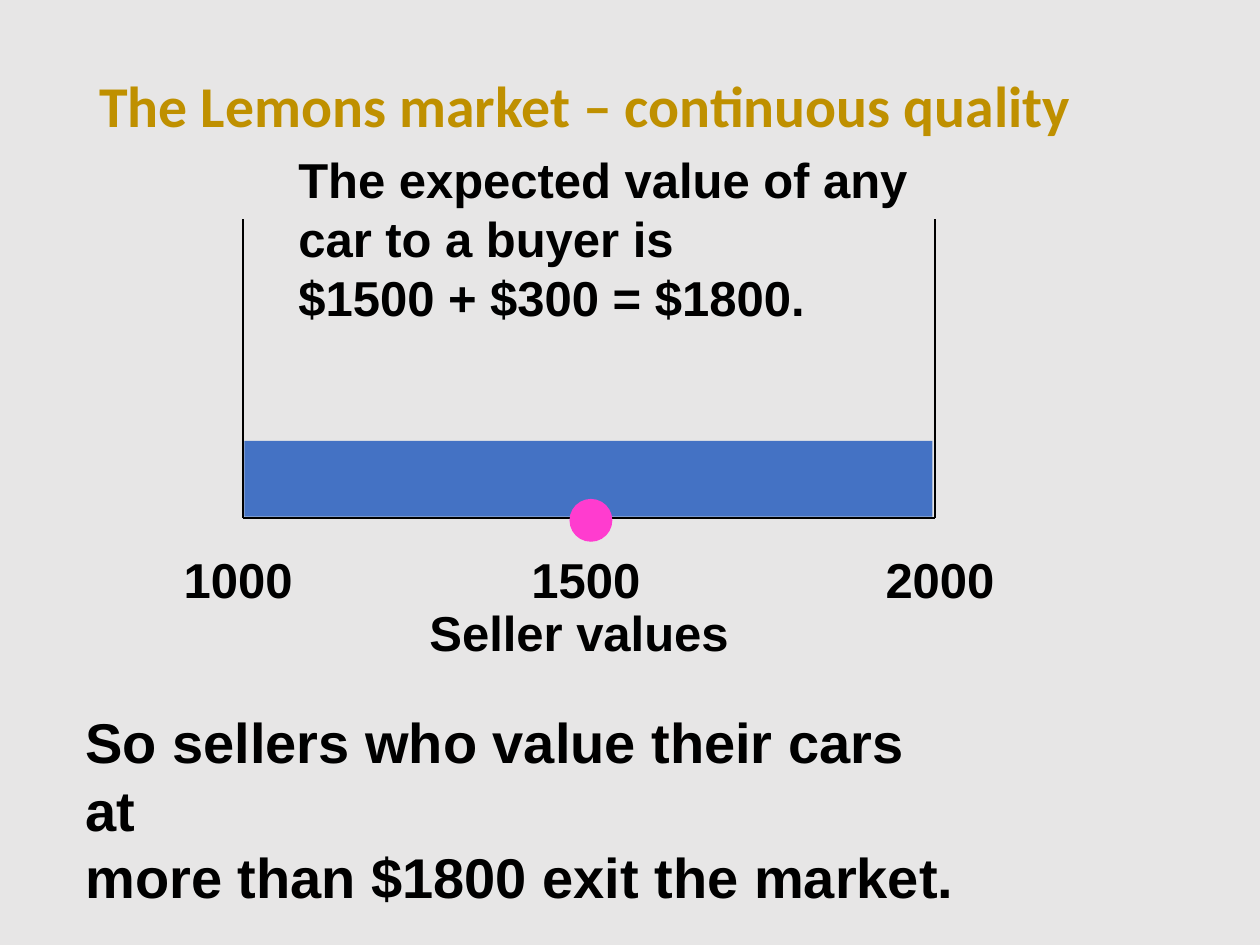
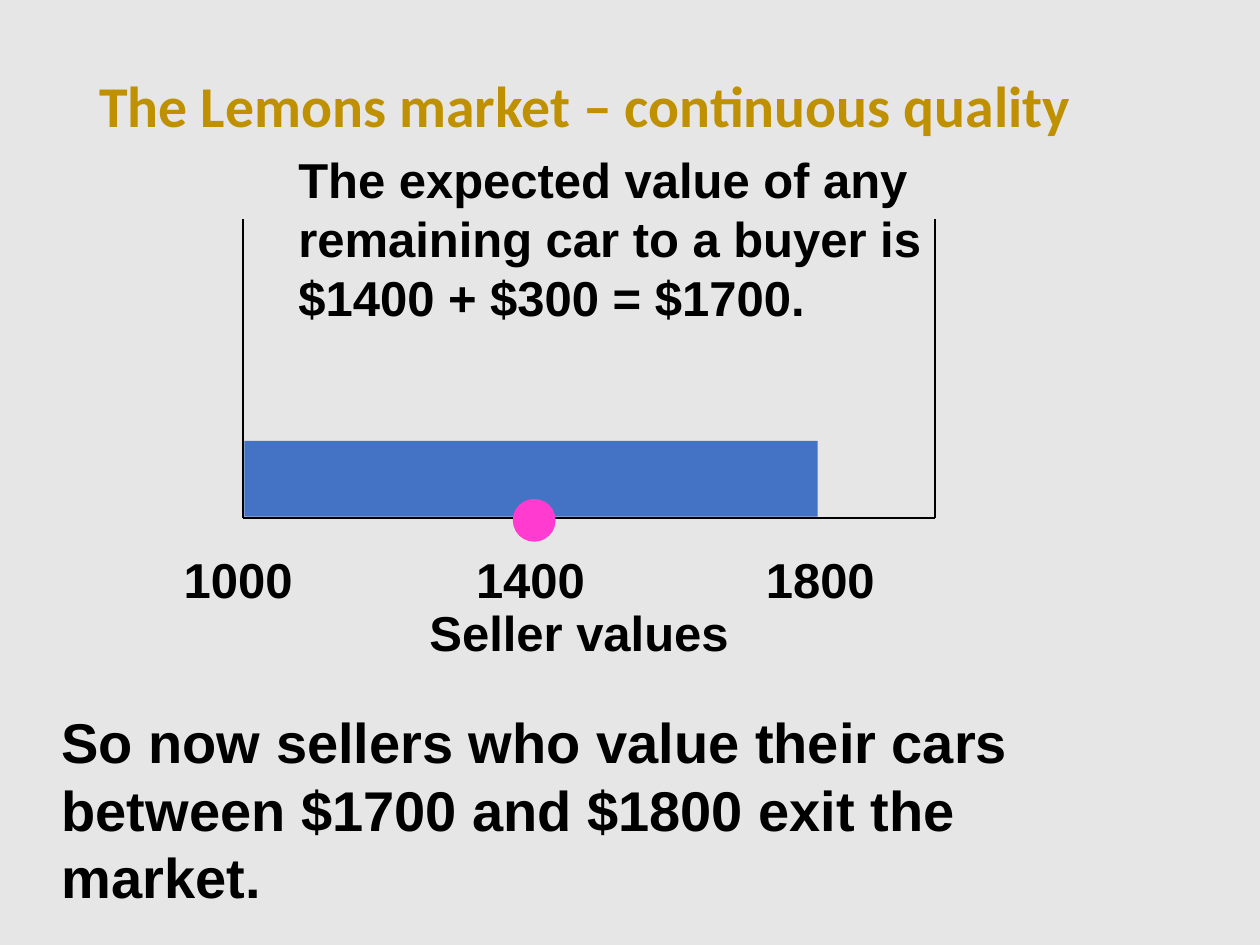
from lxml import etree
from pptx import Presentation
from pptx.dml.color import RGBColor
from pptx.enum.shapes import MSO_CONNECTOR, MSO_SHAPE
from pptx.enum.text import MSO_ANCHOR
from pptx.oxml.ns import qn
from pptx.util import Inches, Pt

STRAIGHT = MSO_CONNECTOR.STRAIGHT
RECTANGLE, OVAL = MSO_SHAPE.RECTANGLE, MSO_SHAPE.OVAL
TOP, MIDDLE = MSO_ANCHOR.TOP, MSO_ANCHOR.MIDDLE

BACKGROUND = RGBColor(0xE7, 0xE6, 0xE6)
GOLD = RGBColor(0xBF, 0x90, 0x00)
BLACK = RGBColor(0x00, 0x00, 0x00)
BLUE = RGBColor(0x44, 0x72, 0xC4)
PINK = RGBColor(0xFF, 0x3C, 0xCF)

TITLE_FONT = {"name": "Calibri", "size": Pt(33), "bold": True}
BODY_FONT = {"name": "Arial", "size": Pt(28), "bold": True}
CONCLUSION_FONT = {**BODY_FONT, "size": Pt(32)}

AXIS_LEFT, AXIS_RIGHT, AXIS_TOP, AXIS_BOTTOM = 1.93, 7.42, 1.74, 4.11
AXIS_LINES = [
    (AXIS_LEFT, AXIS_TOP, AXIS_LEFT, AXIS_BOTTOM),
    (AXIS_LEFT, AXIS_BOTTOM, AXIS_RIGHT, AXIS_BOTTOM),
    (AXIS_RIGHT, AXIS_TOP, AXIS_RIGHT, AXIS_BOTTOM),
]
BAR_LEFT, BAR_TOP, BAR_HEIGHT = 1.94, 3.5, 0.6
DOT_SIZE, DOT_TOP = 0.34, 3.96
LABEL_TOP, LABEL_WIDTH, LINE_HEIGHT = 4.31, 1.07, 0.57

MARKETS = [
    {
        "value_labels": [("1000", 1.36), ("1500", 4.12), ("2000", 6.93)],
        "bar_width": 5.46,
        "dot_left": 4.52,
        "expected_value": ["The expected value of any", "car to a buyer is",
                           "$1500 + $300 = $1800."],
        "expected_width": 5.04,
        "conclusion": ["So sellers who value their cars at",
                       "more than $1800 exit the market."],
        "conclusion_box": (0.58, 5.57, 7.2, 1.17),
    },
    {
        "value_labels": [("1000", 1.36), ("1400", 3.68), ("1800", 5.98)],
        "bar_width": 4.55,
        "dot_left": 4.07,
        "expected_value": ["The expected value of any", "remaining car to a buyer is",
                           "$1400 + $300 = $1700."],
        "expected_width": 5.26,
        "conclusion": ["So now sellers who value their cars",
                       "between $1700 and $1800 exit the market."],
        "conclusion_box": (0.39, 5.57, 8.98, 1.17),
    },
]


def add_text(slide, lines, box, font_format=BODY_FONT, color=BLACK,
             wrap=False, anchor=TOP, line_spacing=1.0):
    """Add a text box with one paragraph per line; box is left, top, width, height."""
    frame = slide.shapes.add_textbox(*map(Inches, box)).text_frame
    frame.word_wrap = wrap
    frame.vertical_anchor = anchor
    frame.text = "\n".join(lines)
    for paragraph in frame.paragraphs:
        paragraph.line_spacing = line_spacing
        font = paragraph.runs[0].font
        font.color.rgb = color
        for name, value in font_format.items():
            setattr(font, name, value)


def add_filled_shape(slide, kind, box, color):
    shape = slide.shapes.add_shape(kind, *map(Inches, box))
    shape.shadow.inherit = False
    shape.fill.solid()
    shape.fill.fore_color.rgb = color
    shape.line.fill.background()


presentation = Presentation()
presentation.slide_width = Inches(10)
presentation.slide_height = Inches(7.5)
blank_layout = presentation.slide_layouts[6]

for market in MARKETS:
    slide = presentation.slides.add_slide(blank_layout)
    slide.background.fill.solid()
    slide.background.fill.fore_color.rgb = BACKGROUND

    add_text(slide, ["The Lemons market – continuous quality"], (0.69, 0.4, 8.62, 0.92),
             TITLE_FONT, GOLD, wrap=True, anchor=MIDDLE, line_spacing=0.9)

    for ends in AXIS_LINES:
        line = slide.shapes.add_connector(STRAIGHT, *map(Inches, ends))
        line.line.color.rgb = BLACK
        line.line.width = Pt(1)
        etree.SubElement(line._element.spPr, qn("a:effectLst"))

    add_filled_shape(slide, RECTANGLE,
                     (BAR_LEFT, BAR_TOP, market["bar_width"], BAR_HEIGHT), BLUE)
    add_filled_shape(slide, OVAL,
                     (market["dot_left"], DOT_TOP, DOT_SIZE, DOT_SIZE), PINK)

    for value, left in market["value_labels"]:
        add_text(slide, [value], (left, LABEL_TOP, LABEL_WIDTH, LINE_HEIGHT))

    add_text(slide, market["expected_value"], (2.27, 1.14, market["expected_width"], 1.5))
    add_text(slide, market["conclusion"], market["conclusion_box"],
             CONCLUSION_FONT, wrap=True)
    add_text(slide, ["Seller values"], (3.31, 4.73, 2.58, LINE_HEIGHT))

presentation.save("out.pptx")
